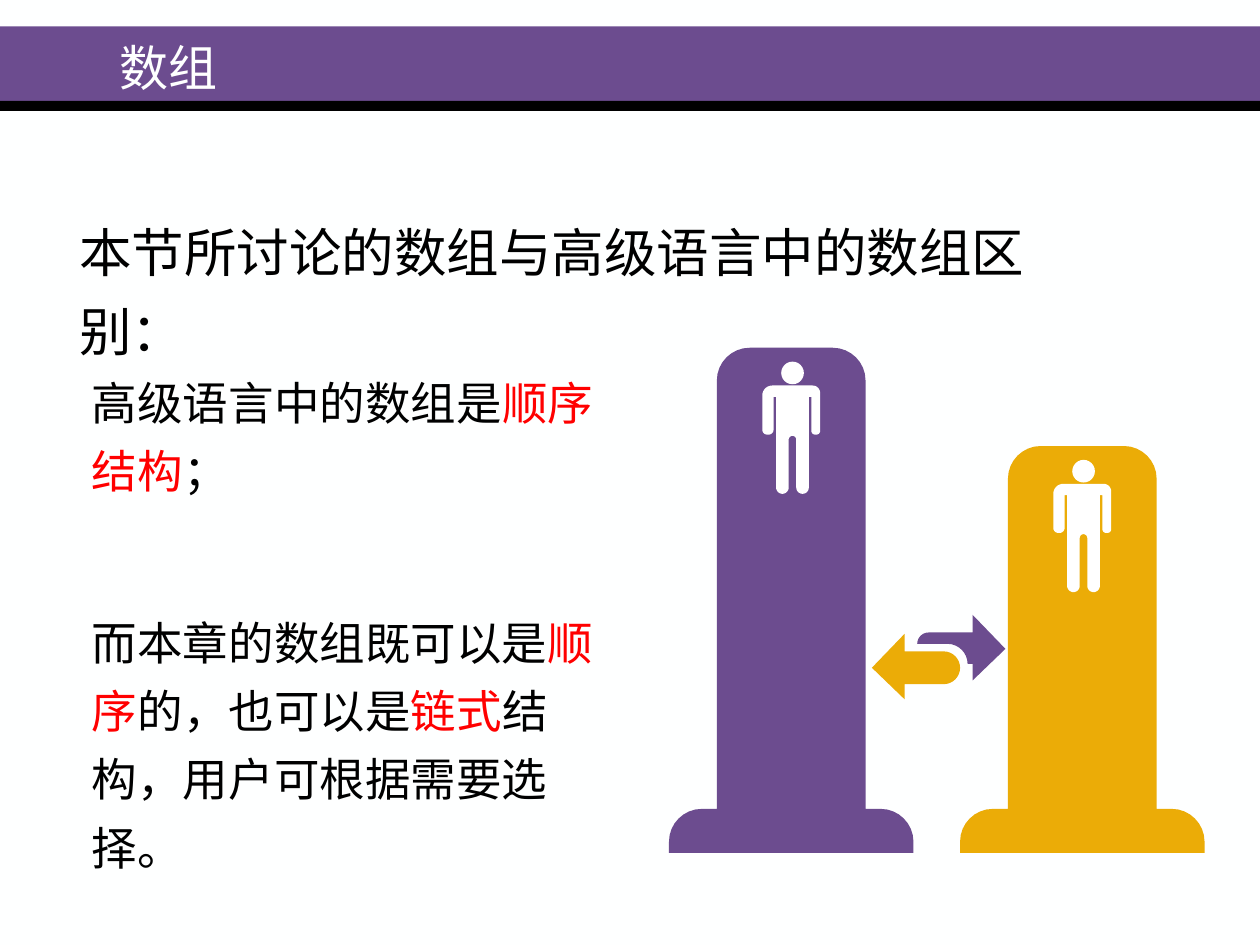
from math import dist

from lxml.etree import SubElement
from pptx import Presentation
from pptx.dml.color import RGBColor
from pptx.enum.lang import MSO_LANGUAGE_ID
from pptx.enum.shapes import MSO_SHAPE
from pptx.enum.text import MSO_ANCHOR, MSO_AUTO_SIZE, PP_ALIGN
from pptx.oxml.ns import qn
from pptx.util import Inches, Pt

THEME = {
    "font": "Times New Roman",
    "purple": "6C4C8F", "gold": "EBAC07", "red": "FF0000",
    "black": "000000", "white": "FEFFFF", "figure": "FFFFFF",
    "title": 28, "lead": 30, "points": 26,
}
SLIDE_WIDTH, SLIDE_HEIGHT = 10, 7.5

# Each paragraph is a list of (wording, colour) runs.
TITLE = [[("数组", "white")]]
LEAD = [[("本节所讨论的数组与高级语言中的数组区别：", "black")]]
POINTS = [
    [("高级语言中的数组是", "black"), ("顺序结构", "red"), ("；", "black")],
    [("而本章的数组既可以是", "black"), ("顺序", "red"), ("的，也可以是", "black"),
     ("链式", "red"), ("结构，用户可根据需要选择。", "black")],
]
# One block per placeholder; indent in inches, gap between paragraphs in points
TEXT_BLOCKS = [
    {"paragraphs": TITLE, "size": "title", "box": (0.51, 0.16, 6.73, 0.75),
     "anchor": MSO_ANCHOR.MIDDLE, "indent": 0.34, "gap": 0, "line_spacing": 1.0},
    {"paragraphs": LEAD, "size": "lead", "box": (0.53, 1.57, 8.51, 0.73),
     "anchor": MSO_ANCHOR.TOP, "indent": 0, "gap": 0, "line_spacing": 1.25},
    {"paragraphs": POINTS, "size": "points", "box": (0.63, 2.82, 4.51, 3.63),
     "anchor": MSO_ANCHOR.TOP, "indent": 0, "gap": 59, "line_spacing": 1.25},
]
# Title bands: colour, top, height
BANDS = [("purple", 0.21, 0.59), ("black", 0.8, 0.08)]

# Pillars: colour, left, top; both stand on the same ground line
PILLARS = [("purple", 5.31, 2.76), ("gold", 7.62, 3.54)]
GROUND = 6.77
BASE_WIDTH, BASE_HEIGHT = 1.94, 0.35
SHAFT_INSET, PILLAR_RADIUS = 0.38, 0.26

# The person on each pillar, placed from the pillar's top left
HEAD_LEFT, HEAD_TOP, HEAD_SIZE = 0.89, 0.11, 0.18
BODY_LEFT, BODY_TOP = 0.74, 0.3

# Outlines: corners as (x, y) or (x, y, rounding radius)
BODY = [
    (0, 0, 0.08), (0, 0.39, 0.04), (0.09, 0.39, 0.04), (0.09, 0.09),     # left arm
    (0.11, 0.09), (0.11, 0.86, 0.05), (0.21, 0.86, 0.05),                # left leg
    (0.21, 0.4, 0.03), (0.27, 0.4, 0.03),                                # gap
    (0.27, 0.86, 0.05), (0.37, 0.86, 0.05), (0.37, 0.09),                # right leg
    (0.39, 0.09), (0.39, 0.39, 0.03), (0.46, 0.39, 0.03), (0.46, 0, 0.06),  # right arm
]
LEFT_ARROW = [
    (0.26, 0.14), (0.26, 0), (0, 0.27), (0.26, 0.52), (0.26, 0.4),
    (0.7, 0.4, 0.13), (0.7, 0.14, 0.13),
]
RIGHT_ARROW = [
    (0, 0.23), (0, 0.14, 0.09), (0.44, 0.14), (0.44, 0), (0.7, 0.27),
    (0.44, 0.52), (0.44, 0.39), (0.4, 0.39), (0.4, 0.23, 0.16),
]
# Arrows: colour, left, top, outline
ARROWS = [("gold", 6.92, 5.03, LEFT_ARROW), ("purple", 7.28, 4.88, RIGHT_ARROW)]

CURVE_STEPS = 8
ARC_PULL = 0.55  # share of the radius that makes a Bezier curve a quarter circle


def color(name):
    return RGBColor.from_string(THEME[name])


def paint(shape, color_name):
    shape.shadow.inherit = False
    shape.fill.solid()
    shape.fill.fore_color.rgb = color(color_name)
    shape.line.fill.background()


def toward(start, target, share):
    """Return the point that lies the given share of the way to the target."""
    return tuple(a + (b - a) * share for a, b in zip(start, target))


def corner_arc(before, corner, after, radius):
    """Sample the Bezier curve that rounds one corner."""
    start = toward(corner, before, radius / dist(corner, before))
    end = toward(corner, after, radius / dist(corner, after))
    controls = (start, toward(start, corner, ARC_PULL),
                toward(end, corner, ARC_PULL), end)
    arc = []
    for step in range(CURVE_STEPS + 1):
        t = step / CURVE_STEPS
        weights = ((1 - t) ** 3, 3 * t * (1 - t) ** 2, 3 * t ** 2 * (1 - t), t ** 3)
        arc.append(tuple(sum(w * c for w, c in zip(weights, axis))
                         for axis in zip(*controls)))
    return arc


def round_corners(corners):
    points = []
    for i, (x, y, *radius) in enumerate(corners):
        if radius:
            before, after = corners[i - 1][:2], corners[(i + 1) % len(corners)][:2]
            points += corner_arc(before, (x, y), after, radius[0])
        else:
            points.append((x, y))
    return points


def add_outline(slide, color_name, left, top, corners):
    first, *rest = [(Inches(left + x), Inches(top + y))
                    for x, y in round_corners(corners)]
    builder = slide.shapes.build_freeform(*first, scale=1.0)
    builder.add_line_segments(rest, close=True)
    paint(builder.convert_to_shape(), color_name)


def add_preset(slide, preset, color_name, box):
    shape = slide.shapes.add_shape(preset, *map(Inches, box))
    paint(shape, color_name)
    return shape


def add_bands(slide):
    """Add the title bands, placed behind the title in the drawing order."""
    title = slide.shapes.title
    for color_name, top, height in BANDS:
        band = add_preset(slide, MSO_SHAPE.RECTANGLE, color_name,
                          (0, top, SLIDE_WIDTH, height))
        title.element.addprevious(band.element)


def add_pillar(slide, color_name, left, top):
    height = GROUND - top
    shoulder = height - BASE_HEIGHT
    shaft_right = BASE_WIDTH - SHAFT_INSET
    add_outline(slide, color_name, left, top, [
        (0, height), (0, shoulder, PILLAR_RADIUS), (SHAFT_INSET, shoulder),
        (SHAFT_INSET, 0, PILLAR_RADIUS), (shaft_right, 0, PILLAR_RADIUS),
        (shaft_right, shoulder), (BASE_WIDTH, shoulder, PILLAR_RADIUS),
        (BASE_WIDTH, height)])
    add_preset(slide, MSO_SHAPE.OVAL, "figure",
               (left + HEAD_LEFT, top + HEAD_TOP, HEAD_SIZE, HEAD_SIZE))
    add_outline(slide, "figure", left + BODY_LEFT, top + BODY_TOP, BODY)


def apply(target, formats):
    for key, value in formats.items():
        setattr(target, key, value)


def remove_bullet(paragraph, indent):
    """Drop the bullet, set the indent and keep punctuation inside the box."""
    properties = paragraph._p.get_or_add_pPr()
    for key, value in {"marL": Inches(indent), "indent": 0, "hangingPunct": 0}.items():
        properties.set(key, str(value))
    SubElement(properties, qn("a:buNone"))


def fill_text(holder, block):
    apply(holder, dict(zip(("left", "top", "width", "height"),
                           map(Inches, block["box"]))))
    frame = holder.text_frame
    apply(frame, {"word_wrap": True, "auto_size": MSO_AUTO_SIZE.NONE,
                  "vertical_anchor": block["anchor"]})
    font_formats = {"name": THEME["font"], "size": Pt(THEME[block["size"]]),
                    "language_id": MSO_LANGUAGE_ID.SIMPLIFIED_CHINESE}
    for i, runs in enumerate(block["paragraphs"]):
        paragraph = frame.add_paragraph() if i else frame.paragraphs[0]
        remove_bullet(paragraph, block["indent"])
        apply(paragraph, {"alignment": PP_ALIGN.LEFT,
                          "line_spacing": block["line_spacing"],
                          "space_before": Pt(block["gap"] if i else 0)})
        for wording, color_name in runs:
            run = paragraph.add_run()
            run.text = wording
            run.font.color.rgb = color(color_name)
            apply(run.font, font_formats)


def main():
    deck = Presentation()
    deck.slide_width, deck.slide_height = Inches(SLIDE_WIDTH), Inches(SLIDE_HEIGHT)
    slide = deck.slides.add_slide(deck.slide_layouts.get_by_name("Two Content"))
    slide.background.fill.solid()
    slide.background.fill.fore_color.rgb = color("white")

    for holder, block in zip(slide.placeholders, TEXT_BLOCKS):
        fill_text(holder, block)
    add_bands(slide)
    for pillar in PILLARS:
        add_pillar(slide, *pillar)
    for arrow in ARROWS:
        add_outline(slide, *arrow)
    deck.save("out.pptx")


if __name__ == "__main__":
    main()
